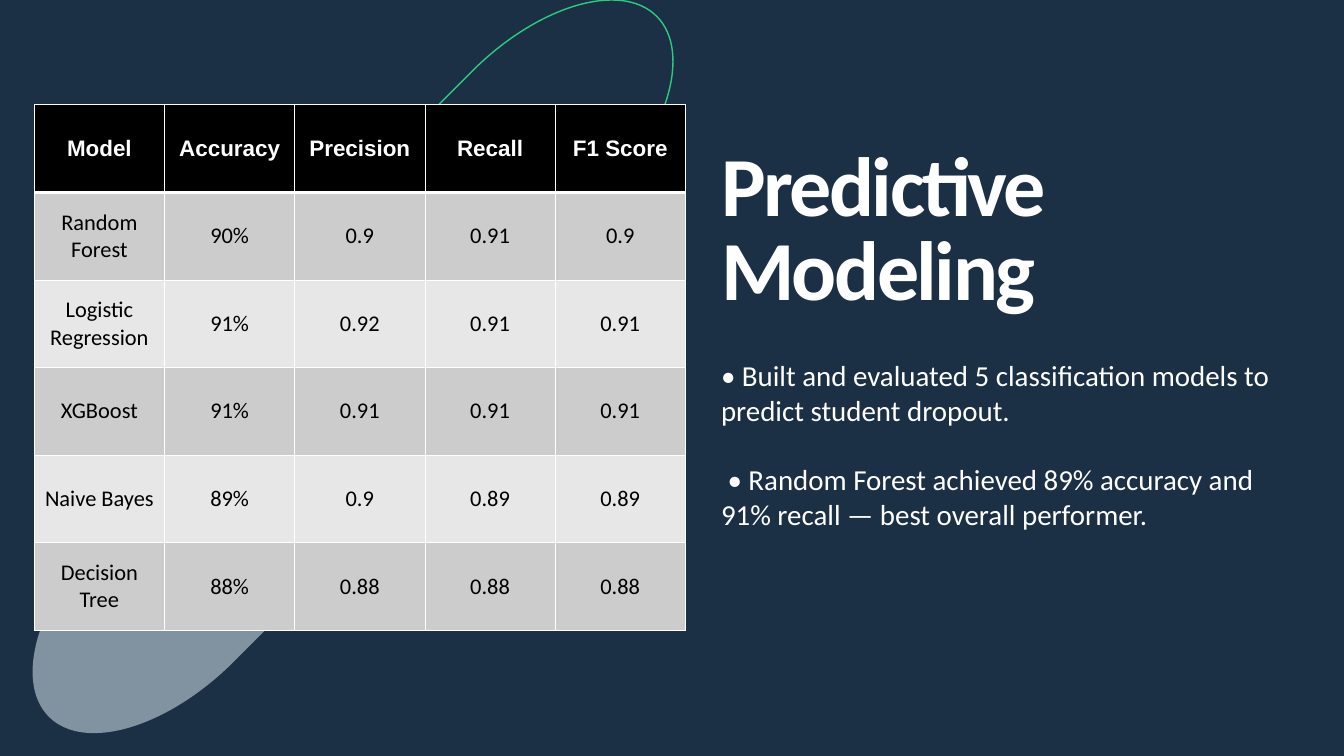
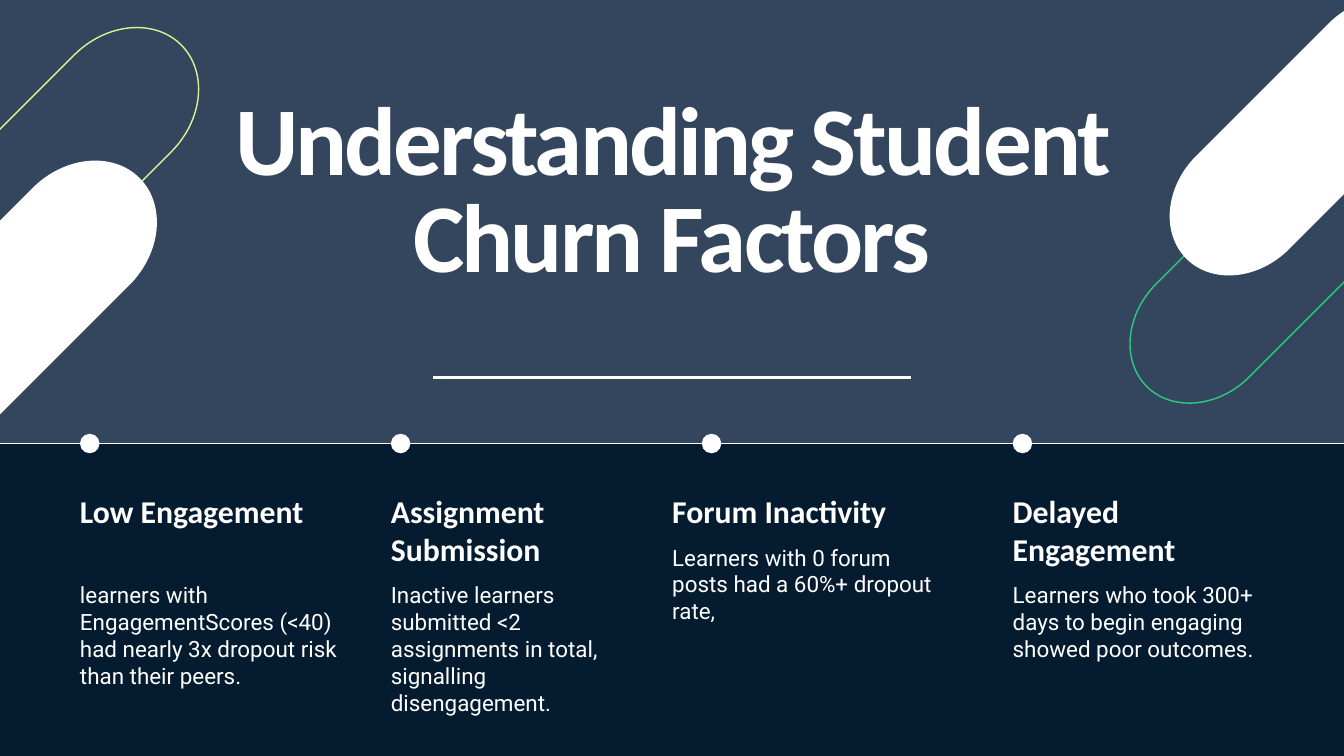
from lxml.etree import SubElement
from pptx import Presentation
from pptx.dml.color import RGBColor
from pptx.enum.shapes import MSO_CONNECTOR, MSO_SHAPE
from pptx.enum.text import MSO_ANCHOR, MSO_AUTO_SIZE, PP_ALIGN
from pptx.oxml.ns import qn
from pptx.util import Inches, Pt

# ---- Content ----
MODEL_TITLE = "Predictive Modeling"
MODEL_POINTS = [
    "• Built and evaluated 5 classification models to predict student dropout.",
    " • Random Forest achieved 89% accuracy and 91% recall — best overall performer.",
]
MODEL_SCORES = [
    ("Model", "Accuracy", "Precision", "Recall", "F1 Score"),
    ("Random Forest", "90%", "0.9", "0.91", "0.9"),
    ("Logistic Regression", "91%", "0.92", "0.91", "0.91"),
    ("XGBoost", "91%", "0.91", "0.91", "0.91"),
    ("Naive Bayes", "89%", "0.9", "0.89", "0.89"),
    ("Decision Tree", "88%", "0.88", "0.88", "0.88"),
]
CHURN_TITLE = "Understanding Student Churn Factors"
# heading, detail, shift from the column's left edge, heading lines, detail height
CHURN_FACTORS = [
    ("Low Engagement", "learners with EngagementScores (<40) had nearly 3x "
     "dropout risk than their peers.", 0, 2, 1.58),
    ("Assignment Submission", "Inactive learners submitted <2 assignments in total, "
     "signalling disengagement.", 0, 2, 1.58),
    ("Forum Inactivity", "Learners with 0 forum posts had a 60%+ dropout rate,",
     -0.44, 1, 1.19),
    ("Delayed Engagement", "Learners who took 300+ days to begin engaging showed "
     "poor outcomes.", 0, 2, 1.19),
]

# ---- Shared look ----
COLORS = {
    "navy": "1C3045", "midnight": "051B2F", "slate": "33465D", "mist": "8192A0",
    "green": "2BCA81", "lime": "D4F592", "white": "FFFFFF", "black": "000000",
    "row_dark": "CCCCCC", "row_light": "E7E7E7",
}
SLIDE_W, SLIDE_H = 20, 11.25
HEAD_FONT, DETAIL_FONT, TABLE_HEAD_FONT = "Calibri", "Roboto", "Arial"
CAP_SHARE = 0.23  # length of each rounded end, as a share of the capsule
ARC = 0.55  # pull of a curve's handles towards the corner


def rgb(name):
    return RGBColor.from_string(COLORS[name])


def paint(sp, fill=None, line=None, width=1.5):
    sp.shadow.inherit = False
    if fill:
        sp.fill.solid()
        sp.fill.fore_color.rgb = rgb(fill)
    else:
        sp.fill.background()
    if line:
        sp.line.color.rgb = rgb(line)
        sp.line.width = Pt(width)
    else:
        sp.line.fill.background()


def style_run(r, size, font, color="white", bold=False):
    r.font.size = Pt(size)
    r.font.name = font
    r.font.bold = bold
    r.font.color.rgb = rgb(color)


def add_slide(prs, background):
    slide = prs.slides.add_slide(prs.slide_layouts[6])
    slide.background.fill.solid()
    slide.background.fill.fore_color.rgb = rgb(background)
    return slide


def bend(segment, start, corner, end):
    """Turn a straight path segment into a quarter ellipse around a corner."""
    segment.tag = qn("a:cubicBezTo")
    for pt in list(segment):
        segment.remove(pt)
    handles = [tuple(a + ARC * (c - a) for a, c in zip(anchor, corner))
               for anchor in (start, end)]
    for x, y in (*handles, end):
        SubElement(segment, qn("a:pt"), x=str(round(x)), y=str(round(y)))


def add_capsule(slide, left, top, width, height, fill=None, line=None):
    """Bar with half-ellipse ends, tilted by 45 degrees."""
    left, top, w, h = map(Inches, (left, top, width, height))
    cap = round(w * CAP_SHARE)
    points = [(w - cap, 0), (w, h // 2), (w - cap, h), (cap, h), (0, h // 2), (cap, 0)]
    builder = slide.shapes.build_freeform(*points[0], scale=1.0)
    builder.add_line_segments(points[1:], close=True)
    sp = builder.convert_to_shape(left, top)
    segments = list(sp._element.iter(qn("a:lnTo")))
    for i, corner in ((0, (w, 0)), (1, (w, h)), (3, (0, h)), (4, (0, 0))):
        bend(segments[i], points[i], corner, points[i + 1])
    sp.rotation = 315
    paint(sp, fill, line)


def add_rule(slide, x1, x2, y, width):
    line = slide.shapes.add_connector(
        MSO_CONNECTOR.STRAIGHT, Inches(x1), Inches(y), Inches(x2), Inches(y))
    line.line.color.rgb = rgb("white")
    line.line.width = Pt(width)
    SubElement(line._element.spPr, qn("a:effectLst"))


def add_text(slide, box, paragraphs, size, leading, font=HEAD_FONT, bold=False,
             align=PP_ALIGN.LEFT, tracking=0, gap=0):
    tf = slide.shapes.add_textbox(*map(Inches, box)).text_frame
    tf.word_wrap = True
    tf.auto_size = MSO_AUTO_SIZE.SHAPE_TO_FIT_TEXT
    tf.margin_left = tf.margin_right = tf.margin_top = tf.margin_bottom = 0
    for i, text in enumerate(paragraphs):
        p = tf.add_paragraph() if i else tf.paragraphs[0]
        p.text = text
        p.alignment = align
        p.line_spacing = Pt(leading)
        if i and gap:
            p.space_before = Pt(gap)
        for r in p.runs:
            style_run(r, size, font, bold=bold)
            if tracking:
                r.font._element.set("spc", str(round(tracking * 100)))


def add_title(slide, box, text, size, align=PP_ALIGN.LEFT):
    add_text(slide, box, [text], size, size, bold=True, align=align,
             tracking=round(-0.03 * size, 1))


def border_cell(cell, top, bottom):
    tc_pr = cell._tc.get_or_add_tcPr()
    for side, width in (("L", 1), ("R", 1), ("T", top), ("B", bottom)):
        ln = SubElement(tc_pr, qn(f"a:ln{side}"), w=str(Pt(width)))
        fill = SubElement(ln, qn("a:solidFill"))
        SubElement(fill, qn("a:srgbClr"), val=COLORS["white"])


def add_score_table(slide, left, top, width, height):
    rows, cols = len(MODEL_SCORES), len(MODEL_SCORES[0])
    table = slide.shapes.add_table(
        rows, cols, *map(Inches, (left, top, width, height))).table
    for i, values in enumerate(MODEL_SCORES):
        header = i == 0
        fill = "black" if header else ("row_light", "row_dark")[i % 2]
        for j, value in enumerate(values):
            cell = table.cell(i, j)
            border_cell(cell, top=3 if i == 1 else 1, bottom=3 if header else 1)
            cell.fill.solid()
            cell.fill.fore_color.rgb = rgb(fill)
            cell.vertical_anchor = MSO_ANCHOR.MIDDLE
            p = cell.text_frame.paragraphs[0]
            p.text = value
            p.alignment = PP_ALIGN.CENTER
            style_run(p.runs[0], 24, TABLE_HEAD_FONT if header else HEAD_FONT,
                      "white" if header else "black", header)


def build_modeling(prs):
    slide = add_slide(prs, "navy")
    # Capsules behind the table
    add_capsule(slide, 0.4, 2.76, 10.98, 2.73, line="green")
    add_capsule(slide, -0.88, 5.42, 10.98, 2.73, fill="mist")
    # Title and findings
    text_left = 10.73
    add_text(slide, (text_left, 5.32, 8.44, 2.56), MODEL_POINTS, 31, 37.2, gap=37.2)
    add_title(slide, (text_left, 2.22, 8.46, 2.57), MODEL_TITLE, 90)
    # Scores
    add_score_table(slide, 0.51, 1.56, 9.69, 7.82)


def build_churn(prs):
    slide = add_slide(prs, "midnight")
    timeline_y, bleed = 6.6, 0.31
    # Upper panel
    panel = slide.shapes.add_shape(
        MSO_SHAPE.RECTANGLE, Inches(-bleed), Inches(-1.06),
        Inches(SLIDE_W + 2 * bleed), Inches(timeline_y + 1.06))
    paint(panel, "slate")
    # Corner capsules
    add_capsule(slide, -1.87, 1.54, 5.35, 2.04, line="lime")
    add_capsule(slide, -2.49, 3.52, 5.35, 2.04, fill="white")
    add_capsule(slide, 16.31, 2.95, 5.15, 1.96, line="green")
    add_capsule(slide, 16.9, 1.05, 5.15, 1.96, fill="white")
    # Timeline with one factor per dot
    add_rule(slide, SLIDE_W + 0.25, -0.25, timeline_y, 1.5)
    first, last, col_w, dot = 1.19, 15.07, 3.87, 0.29
    pitch = (last - first) / (len(CHURN_FACTORS) - 1)
    lefts = [first + i * pitch for i in range(len(CHURN_FACTORS))]
    for left in lefts:
        sp = slide.shapes.add_shape(
            MSO_SHAPE.OVAL, *map(Inches, (left, timeline_y - dot / 2, dot, dot)))
        paint(sp, "white")
    # Title
    add_title(slide, (3.41, 1.46, 13.17, 4.39), CHURN_TITLE, 104, PP_ALIGN.CENTER)
    # Factors
    head_top, head_line, head_gap = 7.32, 0.56, 0.21
    for left, (heading, detail, shift, lines, detail_h) in zip(lefts, CHURN_FACTORS):
        x, head_h = left + shift, lines * head_line
        add_text(slide, (x, head_top, col_w, head_h), [heading], 34, 40.8, bold=True)
        add_text(slide, (x, head_top + head_h + head_gap, col_w, detail_h),
                 [detail], 24, 28.8, DETAIL_FONT)
    # Rule under the title
    add_rule(slide, 6.45, 13.55, 5.62, 3)


def main():
    prs = Presentation()
    prs.slide_width, prs.slide_height = Inches(SLIDE_W), Inches(SLIDE_H)
    build_modeling(prs)
    build_churn(prs)
    prs.save("out.pptx")


if __name__ == "__main__":
    main()
